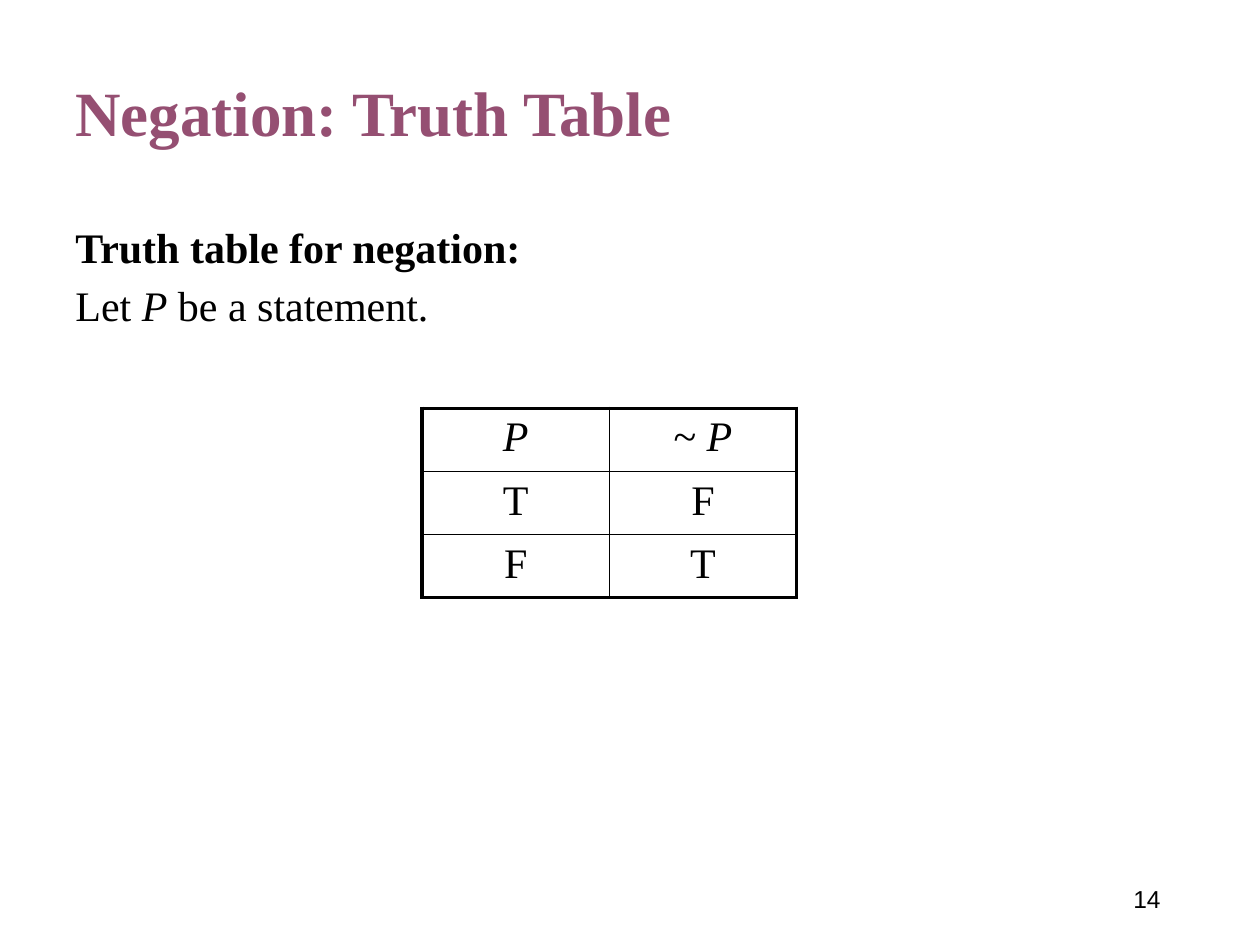
from lxml import etree
from pptx import Presentation
from pptx.dml.color import RGBColor
from pptx.enum.text import MSO_ANCHOR, PP_ALIGN
from pptx.oxml.ns import qn
from pptx.util import Pt

LEFT, CENTER, RIGHT = PP_ALIGN.LEFT, PP_ALIGN.CENTER, PP_ALIGN.RIGHT
TOP, MIDDLE = MSO_ANCHOR.TOP, MSO_ANCHOR.MIDDLE
COLORS = {"title": "954F72", "text": "000000", "background": "FFFFFF"}
SERIF, SANS = "Times New Roman", "Arial"
OUTER, INNER = 2.25, 1
ROWS = [["P", "~ P"], ["T", "F"], ["F", "T"]]


def style_para(para, size, color="text", name=SERIF, bold=False, align=LEFT):
    para.alignment = align
    para.font.size = Pt(size)
    para.font.name = name
    para.font.bold = bold
    para.font.color.rgb = RGBColor.from_string(COLORS[color])


def add_spans(para, text):
    for piece in text.replace("P", "|P|").split("|"):
        if piece:
            span = para.add_run()
            span.text = piece
            span.font.italic = piece == "P"


def add_text_box(page, box, anchor=TOP):
    frame = page.shapes.add_textbox(*map(Pt, box)).text_frame
    frame.word_wrap = True
    frame.vertical_anchor = anchor
    return frame


def add_line(page, box, text, **style):
    para = add_text_box(page, box, MIDDLE).paragraphs[0]
    para.text = text
    para.line_spacing = 0.9
    style_para(para, **style)


def add_body(page, box):
    frame = add_text_box(page, box)
    heading = frame.paragraphs[0]
    heading.text = "Truth table for negation:"
    style_para(heading, 24, bold=True)
    sentence = frame.add_paragraph()
    add_spans(sentence, "Let P be a statement.")
    style_para(sentence, 24)
    sentence.space_before = Pt(7.5)
    for para in frame.paragraphs:
        para.line_spacing = 0.9


def set_borders(cell, widths):
    properties = cell._tc.get_or_add_tcPr()
    for position, (side, width) in enumerate(widths.items()):
        line = etree.Element(qn(f"a:ln{side}"), w=str(Pt(width)))
        fill = etree.SubElement(line, qn("a:solidFill"))
        etree.SubElement(fill, qn("a:srgbClr"), val=COLORS["text"])
        properties.insert(position, line)


def add_truth_table(page, box):
    row_count, column_count = len(ROWS), len(ROWS[0])
    table = page.shapes.add_table(row_count, column_count, *map(Pt, box)).table
    table.first_row = False
    table.horz_banding = False
    for row, values in enumerate(ROWS):
        for column, value in enumerate(values):
            cell = table.cell(row, column)
            cell.fill.solid()
            cell.fill.fore_color.rgb = RGBColor.from_string(COLORS["background"])
            para = cell.text_frame.paragraphs[0]
            add_spans(para, value)
            style_para(para, 24, align=CENTER)
            set_borders(cell, {
                "L": OUTER if column == 0 else INNER,
                "R": OUTER if column == column_count - 1 else INNER,
                "T": OUTER if row == 0 else INNER,
                "B": OUTER if row == row_count - 1 else INNER,
            })


def main():
    deck = Presentation()
    deck.slide_width, deck.slide_height = Pt(720), Pt(540)
    page = deck.slides.add_slide(deck.slide_layouts[6])
    add_line(page, (36, 21.6, 648, 90), "Negation: Truth Table",
             size=36, color="title", bold=True)
    add_body(page, (36, 126, 646, 356.4))
    add_truth_table(page, (241.2, 233.3, 214, 108))
    add_line(page, (508.3, 500.4, 162, 28.8), "14",
             size=14, name=SANS, align=RIGHT)
    deck.save("out.pptx")


if __name__ == "__main__":
    main()
